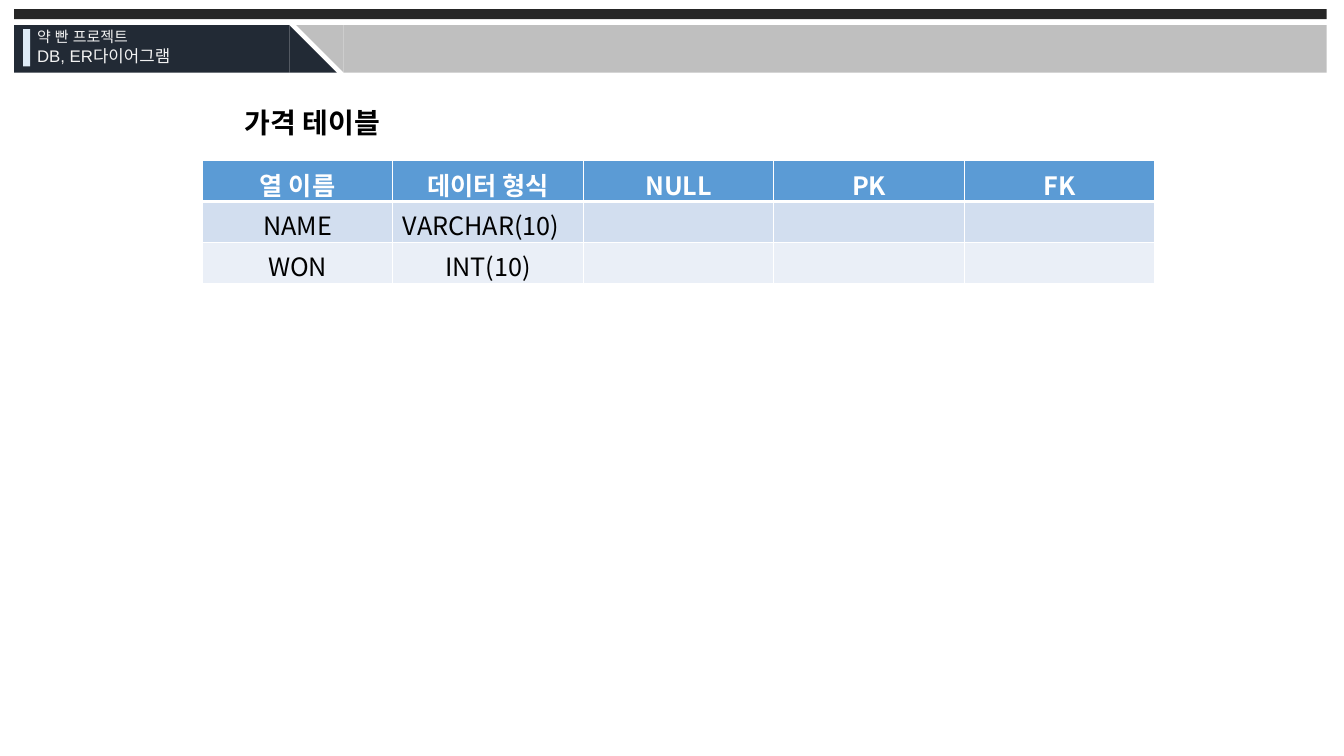
import pptx
import pptx.dml.color
import pptx.enum.shapes
import pptx.enum.text
import pptx.oxml
import pptx.oxml.ns
import pptx.util

Pt = pptx.util.Pt
SHAPES = pptx.enum.shapes.MSO_SHAPE
ALIGN = pptx.enum.text.PP_ALIGN
NS = pptx.oxml.ns.nsdecls("a")
LABEL = {"name": "Arial", "color": "F2F2F2"}
TITLE = {"name": "Noto Sans CJK KR", "size": Pt(20), "bold": True, "color": "000000"}
HEAD = {"name": "Noto Sans CJK KR", "size": Pt(18), "bold": True, "color": "FFFFFF"}
BODY = {**HEAD, "bold": False, "color": "000000"}
ROWS = [
    ["열 이름", "데이터 형식", "NULL", "PK", "FK"],
    ["NAME", "VARCHAR(10)", "", "", ""],
    ["WON", "INT(10)", "", "", ""],
]
ROW_FILLS = ["5B9BD5", "D2DEEF", "EAEFF7"]


def rgb(value):
    return pptx.dml.color.RGBColor.from_string(value)


def line_xml(tag, width, color, alpha=100):
    return pptx.oxml.parse_xml(
        f'<a:{tag} {NS} w="{Pt(width)}"><a:solidFill><a:srgbClr val="{color}">'
        f'<a:alpha val="{alpha * 1000}"/></a:srgbClr></a:solidFill></a:{tag}>')


class Deck:
    """Hold the style and the current slide, and draw each kind of element."""

    def __init__(self, prs):
        self.s = prs.slides.add_slide(prs.slide_layouts[6])

    def shape(self, kind, x, y, w, h, color, rotation=0):
        sp = self.s.shapes.add_shape(kind, Pt(x), Pt(y), Pt(w), Pt(h))
        sp.shadow.inherit = False
        sp.fill.solid()
        sp.fill.fore_color.rgb = rgb(color)
        sp.line.fill.background()
        sp.rotation = rotation

    def run(self, p, text, style):
        r = p.add_run()
        r.text = text
        for key, value in style.items():
            if key == "color":
                r.font.color.rgb = rgb(value)
            else:
                setattr(r.font, key, value)
        ea = pptx.oxml.parse_xml(f'<a:ea {NS} typeface="{style["name"]}"/>')
        r._r.rPr.find(pptx.oxml.ns.qn("a:latin")).addnext(ea)
        return r

    def text(self, x, y, w, h, text, style, outlined=False):
        tf = self.s.shapes.add_textbox(Pt(x), Pt(y), Pt(w), Pt(h)).text_frame
        tf.word_wrap = True
        tf.auto_size = pptx.enum.text.MSO_AUTO_SIZE.SHAPE_TO_FIT_TEXT
        r = self.run(tf.paragraphs[0], text, style)
        if outlined:
            r._r.rPr.insert(0, line_xml("ln", 0.75, style["color"], 10))

    def table(self, x, y, w, h, rows, fills):
        frame = self.s.shapes.add_table(len(rows), len(rows[0]), Pt(x), Pt(y), Pt(w), Pt(h))
        for i, row in enumerate(rows):
            for j, text in enumerate(row):
                cell = frame.table.cell(i, j)
                cell.fill.solid()
                cell.fill.fore_color.rgb = rgb(fills[i])
                widths = {"lnL": 1, "lnR": 1, "lnT": 3 if i == 1 else 1, "lnB": 3 if i == 0 else 1}
                for k, (tag, width) in enumerate(widths.items()):
                    cell._tc.get_or_add_tcPr().insert(k, line_xml(tag, width, "FFFFFF"))
                p = cell.text_frame.paragraphs[0]
                p.alignment = ALIGN.LEFT if text.startswith("VARCHAR") else ALIGN.CENTER
                if text:
                    self.run(p, text, BODY if i else HEAD)


def main():
    prs = pptx.Presentation()
    prs.slide_width, prs.slide_height = Pt(960), Pt(540)
    deck = Deck(prs)
    rect, triangle = SHAPES.RECTANGLE, SHAPES.RIGHT_TRIANGLE
    deck.shape(rect, 10.1, 6.5, 937.5, 7.2, "262626")
    deck.shape(rect, 10.1, 18, 196.6, 33.9, "222A35")
    deck.shape(triangle, 206.7, 18, 33.9, 33.9, "222A35")
    deck.shape(rect, 245.5, 18, 702.1, 33.9, "BFBFBF")
    deck.shape(triangle, 211.6, 18, 33.9, 33.9, "BFBFBF", 180)
    deck.text(19.4, 15.8, 143.3, 20.2, "약 빤 프로젝트", {**LABEL, "size": Pt(10.7)}, True)
    deck.text(19.4, 28.8, 143.3, 21.6, "DB, ER다이어그램", {**LABEL, "size": Pt(12)}, True)
    deck.shape(rect, 16.6, 20.9, 5, 26.6, "DEEBF7")
    deck.text(167.8, 72, 177.8, 31.7, "가격 테이블", TITLE)
    deck.table(144.5, 114.8, 680.5, 87.6, ROWS, ROW_FILLS)
    prs.save("out.pptx")


if __name__ == "__main__":
    main()
